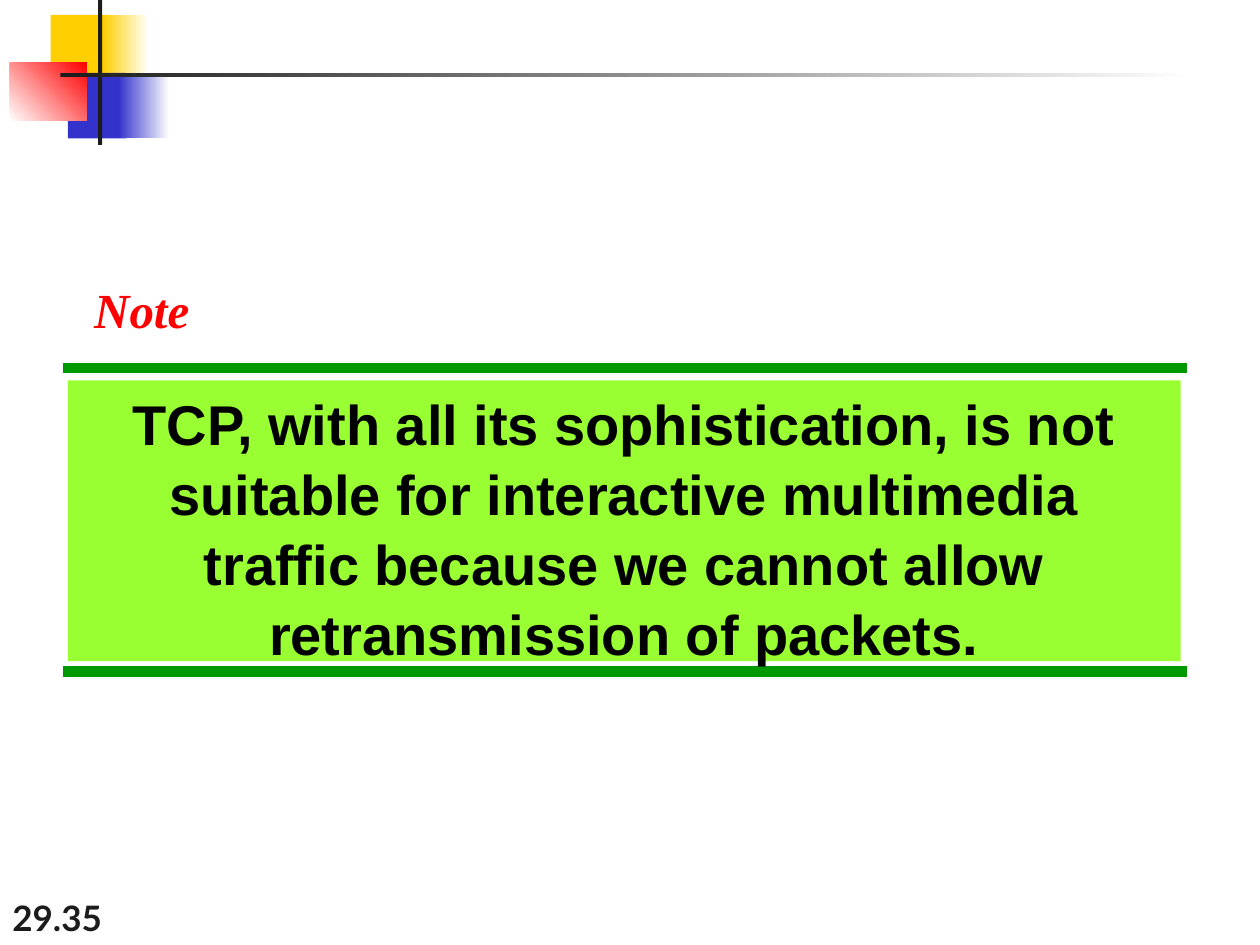
from lxml.etree import SubElement
from pptx import Presentation
from pptx.dml.color import RGBColor
from pptx.enum.shapes import MSO_CONNECTOR, MSO_SHAPE
from pptx.enum.text import MSO_ANCHOR, PP_ALIGN
from pptx.oxml.ns import qn
from pptx.util import Cm, Pt

COLOURS = {
    "white": "FFFFFF", "black": "000000", "ink": "1C1C1C",
    "yellow": "FFCF01", "blue": "3333CC", "red": "FF0000",
    "rule": "009900", "panel": "99FF33",
}


def colour(name):
    return RGBColor.from_string(COLOURS[name])


class NoteSlide:
    """Holds the slide being built and the style of its elements."""

    def __init__(self, page):
        self.page = page

    def block(self, left, top, width, height, start, end=None, angle=0):
        """Add a borderless rectangle, shaded from start to end if end is given."""
        box = self.page.shapes.add_shape(
            MSO_SHAPE.RECTANGLE, Cm(left), Cm(top), Cm(width), Cm(height))
        box.shadow.inherit = False
        box.line.fill.background()
        if end is None:
            box.fill.solid()
            box.fill.fore_color.rgb = colour(start)
        else:
            box.fill.gradient()
            box.fill.gradient_angle = angle
            for stop, name in zip(box.fill.gradient_stops, (start, end)):
                stop.color.rgb = colour(name)
        return box

    def rule(self, left, right, top):
        line = self.page.shapes.add_connector(
            MSO_CONNECTOR.STRAIGHT, Cm(left), Cm(top), Cm(right), Cm(top))
        line.line.color.rgb = colour("rule")
        line.line.width = Pt(6)
        SubElement(line._element.spPr, qn("a:effectLst"))

    def text_box(self, left, top, width, height):
        return self.page.shapes.add_textbox(Cm(left), Cm(top), Cm(width), Cm(height))

    def add_text(self, box, lines, font, size, name, bold=False, italic=False,
                 align=PP_ALIGN.LEFT, anchor=MSO_ANCHOR.TOP, wrap=True, spacing=1.0):
        frame = box.text_frame
        frame.word_wrap = wrap
        frame.vertical_anchor = anchor
        for index, line in enumerate(lines):
            para = frame.add_paragraph() if index else frame.paragraphs[0]
            para.alignment = align
            para.line_spacing = spacing
            span = para.add_run()
            span.text = line
            span.font.name = font
            span.font.size = Pt(size)
            span.font.bold = bold
            span.font.italic = italic
            span.font.color.rgb = colour(name)


def main():
    deck = Presentation()
    deck.slide_width, deck.slide_height = Cm(25.4), Cm(19.05)
    slide = NoteSlide(deck.slides.add_slide(deck.slide_layouts[6]))

    number = slide.text_box(0, 17.78, 5.28, 1.27)
    slide.add_text(number, ["29.35"], "Lato", 20, "ink", bold=True,
                   anchor=MSO_ANCHOR.BOTTOM)

    # Corner ornament
    slide.block(1.02, 0.3, 1.22, 1.32, "yellow")
    slide.block(2.08, 0.3, 0.91, 1.32, "yellow", "white")
    slide.block(1.37, 1.47, 1.17, 1.32, "blue")
    slide.block(2.39, 1.47, 1.02, 1.32, "blue", "white")
    slide.block(0.2, 1.27, 1.55, 1.17, "white", "red", angle=45)
    slide.block(1.98, 0, 0.08, 2.92, "ink")
    slide.block(1.22, 1.47, 22.86, 0.08, "ink", "white")

    for top in (7.42, 13.54):
        slide.rule(1.27, 23.93, top)

    panel = slide.block(1.37, 7.67, 22.43, 5.66, "panel")
    slide.add_text(
        panel,
        ["TCP, with all its sophistication, is not suitable for interactive multimedia",
         "traffic because we cannot allow retransmission of packets."],
        "Arial", 32, "black", bold=True, align=PP_ALIGN.CENTER, spacing=1.04)

    note = slide.text_box(1.65, 5.51, 2.44, 1.45)
    slide.add_text(note, ["Note"], "Times New Roman", 28, "red",
                   bold=True, italic=True, wrap=False)

    deck.save("out.pptx")


if __name__ == "__main__":
    main()
